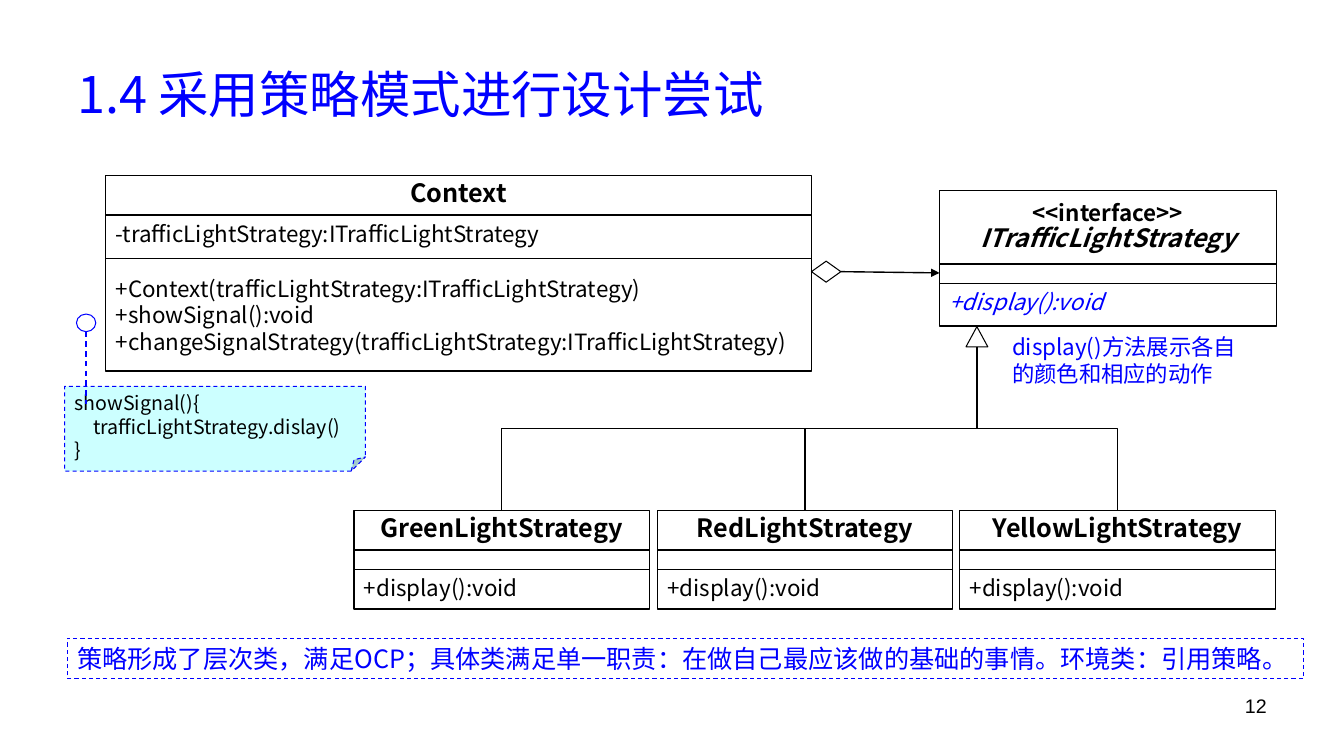
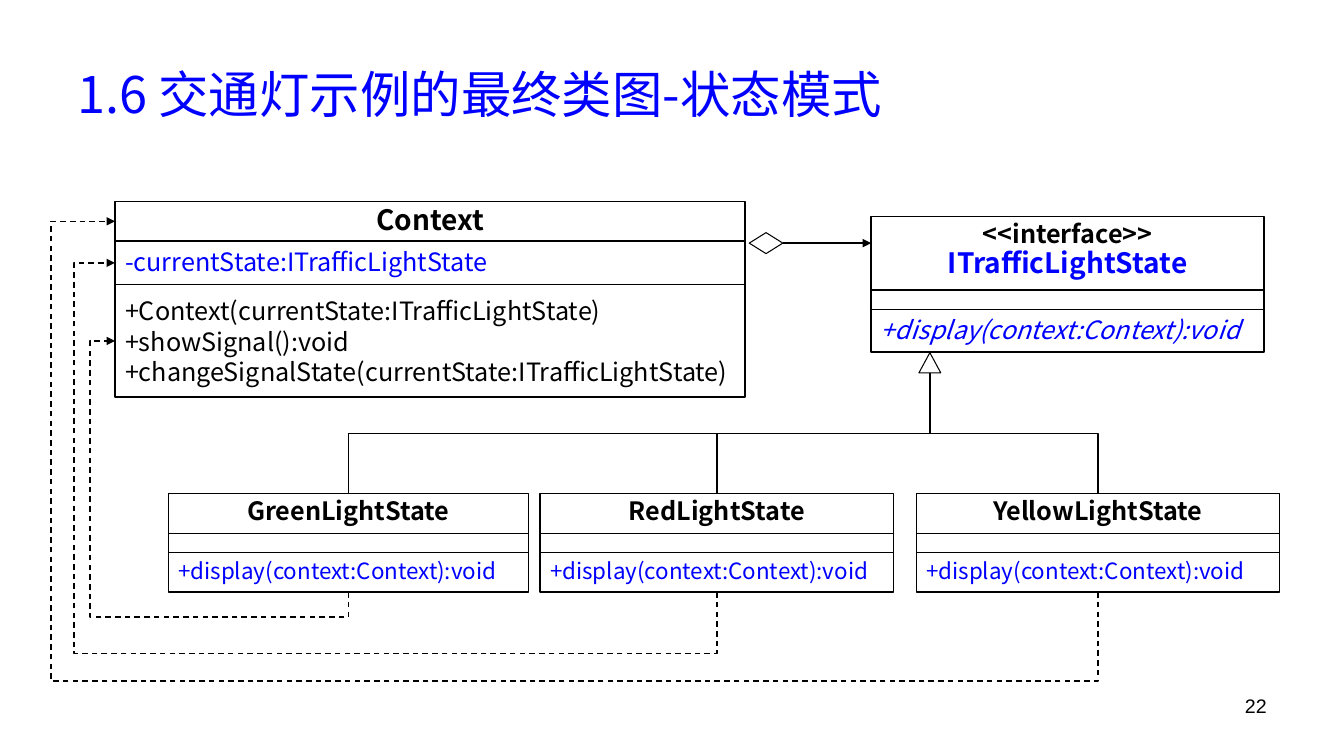
from dataclasses import dataclass

from lxml.etree import SubElement
from pptx import Presentation
from pptx.dml.color import RGBColor
from pptx.enum.dml import MSO_LINE
from pptx.enum.shapes import MSO_CONNECTOR as Link, MSO_SHAPE as Kind
from pptx.enum.text import MSO_ANCHOR as Anchor, MSO_AUTO_SIZE as Fit, PP_ALIGN as Align
from pptx.oxml.ns import qn
from pptx.util import Inches, Pt

COLORS = {"ink": "000000", "blue": "0000FF", "note": "CCFFFF", "paper": "FFFFFF"}
FONT = "Noto Sans CJK SC"
COLUMNS = 160
TOP, LEFT, BOTTOM, TRIANGLE_BASE = 0, 1, 2, 3
NAME_ROWS, ATTRIBUTE_ROWS, METHOD_ROWS = 4.7, 5.2, 13.4
EMPTY_ROWS, LEAF_ROWS = 2.3, 4.7
INTERFACE_ROWS = (8.75, EMPTY_ROWS, 5.05)


@dataclass
class Line:
    text: str
    size: float = 16
    color: str = "ink"
    bold: bool = False
    italic: bool = False
    align: Align = Align.LEFT
    spacing: float = 1.0
    indent: float = 0
    font: str = FONT


def heading(text, size=18, **style):
    return Line(text, size, bold=True, align=Align.CENTER, spacing=0.9, **style)


def rgb(name):
    return RGBColor.from_string(COLORS[name])


class DiagramDeck:
    def __init__(self):
        self.deck = Presentation()
        self.deck.slide_width, self.deck.slide_height = Inches(13.33), Inches(7.5)
        self.unit = self.deck.slide_width / COLUMNS
        self.slide = None

    def grid(self, *lengths):
        return [round(length * self.unit) for length in lengths]

    def page(self, title, number):
        self.slide = self.deck.slides.add_slide(self.deck.slide_layouts[5])
        box = self.slide.shapes.title
        box.left, box.top, box.width, box.height = self.grid(8, 3.6, 144, 15)
        self.set_lines(box, [Line(title, 36, "blue")], Anchor.MIDDLE)
        self.text_box(114.7, 82, 37.3, 6.2,
                      Line(number, 14, align=Align.RIGHT, font="Arial"))

    def set_lines(self, box, lines, anchor=Anchor.TOP, wrap=True):
        frame = box.text_frame
        frame.text = "\n".join(line.text for line in lines)
        frame.word_wrap, frame.auto_size = wrap, Fit.NONE
        frame.vertical_anchor = anchor
        for para, line in zip(frame.paragraphs, lines):
            para.alignment, para.line_spacing = line.align, line.spacing
            if line.indent:
                para._p.get_or_add_pPr().set("marL", str(self.grid(line.indent)[0]))
            for span in para.runs:
                font = span.font
                font.name, font.size = line.font, Pt(line.size)
                font.bold, font.italic = line.bold, line.italic
                font.color.rgb = rgb(line.color)
                SubElement(font._element, qn("a:ea"), typeface=line.font)

    def text_box(self, left, top, width, height, line):
        box = self.slide.shapes.add_textbox(*self.grid(left, top, width, height))
        self.set_lines(box, [line])

    def stroke(self, shape, color="ink", weight=1.0, dashed=False):
        shape.line.color.rgb = rgb(color)
        shape.line.width = Pt(weight)
        if dashed:
            shape.line.dash_style = MSO_LINE.DASH

    def shape(self, kind, left, top, width, height, lines=(), fill=None,
              color="ink", weight=0.75, dashed=False, anchor=Anchor.TOP,
              wrap=True, group=None):
        parent = group or self.slide
        box = parent.shapes.add_shape(kind, *self.grid(left, top, width, height))
        box.shadow.inherit = False
        if fill:
            box.fill.solid()
            box.fill.fore_color.rgb = rgb(fill)
        else:
            box.fill.background()
        self.stroke(box, color, weight, dashed)
        if lines:
            self.set_lines(box, lines, anchor, wrap)
        return box

    def class_box(self, left, top, width, rows, texts, anchors=(Anchor.TOP,) * 3):
        group = self.slide.shapes.add_group_shape()
        cells = []
        for height, lines, anchor in zip(rows, texts, anchors):
            cells.append(self.shape(Kind.RECTANGLE, left, top, width, height, lines,
                                    weight=1, anchor=anchor, group=group))
            top += height
        return cells

    def context(self, left, top, width, name, attribute, methods):
        return self.class_box(left, top, width,
                              (NAME_ROWS, ATTRIBUTE_ROWS, METHOD_ROWS),
                              ([name], [attribute], methods),
                              (Anchor.TOP, Anchor.TOP, Anchor.MIDDLE))

    def finish_link(self, link, color, dashed, arrow):
        self.stroke(link, color, 1, dashed)
        if arrow:
            SubElement(link.line._get_or_add_ln(), qn("a:tailEnd"), type="triangle")
        SubElement(link._element.spPr, qn("a:effectLst"))

    def straight(self, start, end, color="ink", dashed=False, arrow=False):
        link = self.slide.shapes.add_connector(Link.STRAIGHT, *self.grid(*start, *end))
        self.finish_link(link, color, dashed, arrow)

    def elbow(self, begin, begin_site, end, end_site, start, stop,
              preset, flip, adjusts, dashed=False, arrow=False):
        link = self.slide.shapes.add_connector(Link.ELBOW, *start, *stop)
        link.begin_connect(begin, begin_site)
        link.end_connect(end, end_site)
        across, down = abs(stop[0] - start[0]), abs(stop[1] - start[1])
        link.left = (start[0] + stop[0] - down) // 2
        link.top = (start[1] + stop[1] - across) // 2
        link.width, link.height = down, across
        properties = link._element.spPr
        for name in ("flipH", "flipV"):
            properties.xfrm.set(name, str(int(name == flip)))
        properties.xfrm.set("rot", str(90 * 60000))
        geometry = properties.find(qn("a:prstGeom"))
        geometry.set("prst", preset)
        guides = geometry.find(qn("a:avLst"))
        if guides is None:
            guides = SubElement(geometry, qn("a:avLst"))
        for index, share in enumerate(adjusts, 1):
            SubElement(guides, qn("a:gd"), name=f"adj{index}",
                       fmla=f"val {round(share * 100000)}")
        self.finish_link(link, "ink", dashed, arrow)

    def inherit(self, triangle, child):
        start = (triangle.left + triangle.width // 2, triangle.top + triangle.height)
        stop = (child.left + child.width // 2, child.top)
        flip = "flipV" if stop[0] > start[0] else None
        self.elbow(triangle, TRIANGLE_BASE, child, TOP, start, stop,
                   "bentConnector3", flip, [0.5])

    def feedback(self, source, target, drop, reach):
        start = (source.left + source.width // 2, source.top + source.height)
        stop = (target.left, target.top + target.height // 2)
        drop, reach = self.grid(drop, reach)
        adjusts = [-drop / (start[1] - stop[1]), 1 + reach / (start[0] - stop[0])]
        self.elbow(source, BOTTOM, target, LEFT, start, stop,
                   "bentConnector4", "flipH", adjusts, dashed=True, arrow=True)

    def aggregate(self, left, top, width, end):
        height = 2.5
        self.shape(Kind.FLOWCHART_DECISION, left, top, width, height)
        self.straight((left + width, top + height / 2), end, arrow=True)

    def leaves(self, triangle_at, top, leaves, method):
        triangle = self.shape(Kind.ISOSCELES_TRIANGLE, *triangle_at, 2.6, 2.4)
        rows = (NAME_ROWS, EMPTY_ROWS, LEAF_ROWS)
        boxes = []
        for name, left, width in leaves:
            cells = self.class_box(left, top, width, rows,
                                   ([heading(name)], [], [method]))
            self.inherit(triangle, cells[0])
            boxes.append(cells)
        return boxes


def strategy_page(show):
    show.page("1.4 采用策略模式进行设计尝试", "12")
    show.context(12.6, 20.9, 84, heading("Context"),
                 Line("-trafficLightStrategy:ITrafficLightStrategy"),
                 [Line("+Context(trafficLightStrategy:ITrafficLightStrategy)"),
                  Line("+showSignal():void"),
                  Line("+changeSignalStrategy(trafficLightStrategy:ITrafficLightStrategy)")])
    show.class_box(111.85, 22.7, 40.1, INTERFACE_ROWS,
                   ([heading("<<interface>>", 16),
                     heading("ITrafficLightStrategy", italic=True)], [],
                    [Line("+display():void", color="blue", italic=True)]),
                   (Anchor.MIDDLE, Anchor.TOP, Anchor.TOP))
    show.aggregate(96.6, 31.1, 3.5, (111.85, 32.5))
    show.leaves((115, 38.9), 60.8,
                [("GreenLightStrategy", 42.15, 35.15),
                 ("RedLightStrategy", 78.25, 35.15),
                 ("YellowLightStrategy", 114.25, 37.6)],
                Line("+display():void"))
    show.shape(Kind.FOLDED_CORNER, 7.7, 46, 35.8, 10.1,
               [Line("showSignal(){", 14),
                Line("trafficLightStrategy.dislay()", 14, indent=2.2),
                Line("}", 14)],
               fill="note", color="blue", dashed=True)
    show.shape(Kind.OVAL, 9.1, 37.4, 2.3, 2.1, fill="paper", color="blue")
    show.straight((10.25, 39.5), (10.25, 48.1), "blue", dashed=True)
    show.text_box(119.3, 39.1, 29.2, 7.7,
                  Line("display()方法展示各自的颜色和相应的动作", color="blue"))
    show.shape(Kind.RECTANGLE, 8, 76, 147.2, 4.8,
               [Line("策略形成了层次类，满足OCP；具体类满足单一职责："
                     "在做自己最应该做的基础的事情。环境类：引用策略。", 18, "blue")],
               color="blue", dashed=True, wrap=False)


def state_page(show):
    show.page("1.6 交通灯示例的最终类图-状态模式", "22")
    context = show.context(13.7, 24, 75, heading("Context", 20),
                           Line("-currentState:ITrafficLightState", 18, "blue"),
                           [Line("+Context(currentState:ITrafficLightState)", 18),
                            Line("+showSignal():void", 18),
                            Line("+changeSignalState(currentState:ITrafficLightState)", 18)])
    show.class_box(103.7, 25.8, 46.8, INTERFACE_ROWS,
                   ([heading("<<interface>>"),
                     heading("ITrafficLightState", 20, color="blue")], [],
                    [Line("+display(context:Context):void", 18, "blue", italic=True)]))
    show.aggregate(89.2, 27.7, 4, (103.7, 28.95))
    states = show.leaves((109.4, 42), 58.8,
                         [("GreenLightState", 20.05, 42.85),
                          ("RedLightState", 64.3, 42.1),
                          ("YellowLightState", 109.1, 43.2)],
                         Line("+display(context:Context):void", color="blue"))
    bends = [(3, 3), (7.3, 4.9), (10.6, 7.6)]
    for state, target, (drop, reach) in zip(states, reversed(context), bends):
        show.feedback(state[-1], target, drop, reach)


def main():
    show = DiagramDeck()
    strategy_page(show)
    state_page(show)
    show.deck.save("out.pptx")


if __name__ == "__main__":
    main()
